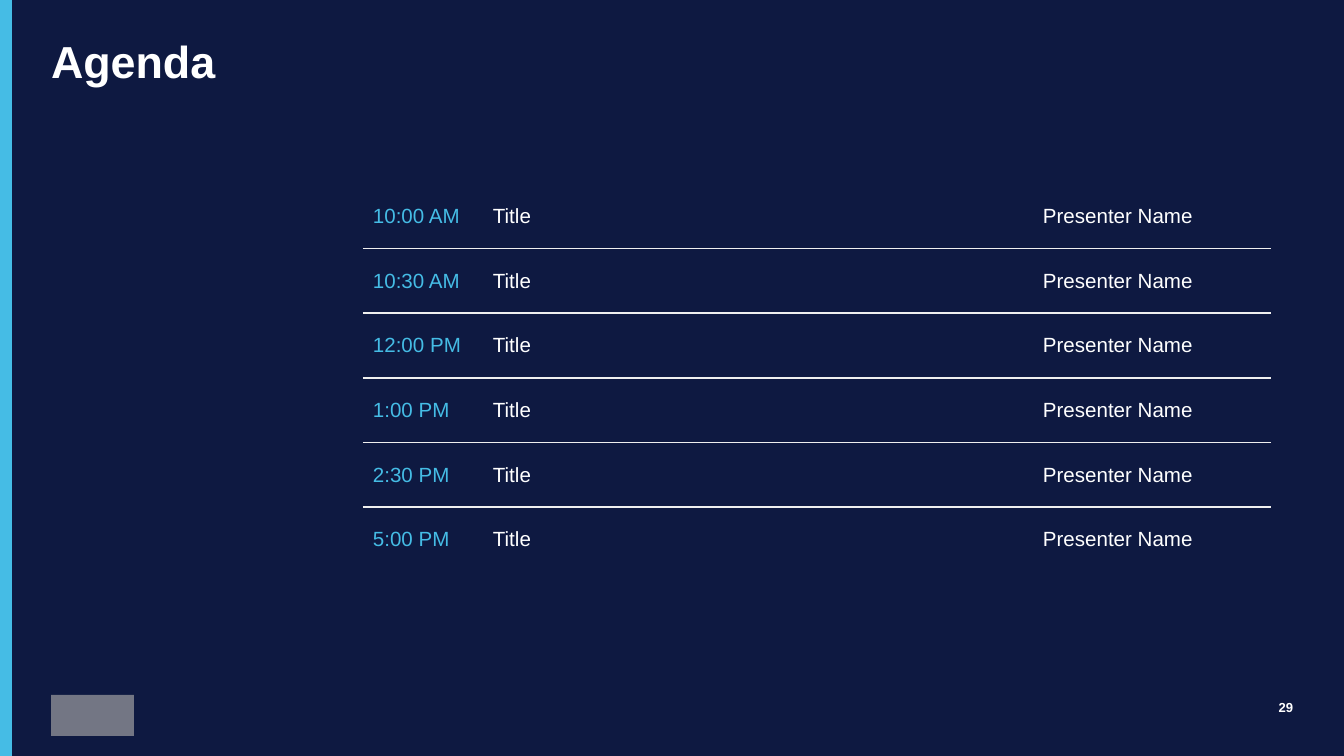
from lxml.etree import SubElement
from pptx import Presentation
from pptx.dml.color import RGBColor
from pptx.enum.shapes import MSO_SHAPE as Preset
from pptx.enum.text import MSO_ANCHOR as Anchor, PP_ALIGN as Align
from pptx.oxml.ns import qn
from pptx.util import Pt

PX = 914400 / 134.4
NAVY = RGBColor(0x0E, 0x19, 0x41)
SKY = RGBColor(0x45, 0xBC, 0xE5)
WHITE = RGBColor(0xFF, 0xFF, 0xFF)
GRAY = RGBColor(0xA5, 0xA5, 0xA5)
RULE = RGBColor(0xEF, 0xEF, 0xEF)
TIMES = ["10:00 AM", "10:30 AM", "12:00 PM", "1:00 PM", "2:30 PM", "5:00 PM"]


def emu(*lengths):
    return [round(length * PX) for length in lengths]


class AgendaSlide:
    """Holds the agenda style and draws its elements on one slide."""

    font = "Arial"
    padding = 10

    def __init__(self, deck):
        self.slide = deck.slides.add_slide(deck.slide_layouts[6])
        background = self.slide.background.fill
        background.solid()
        background.fore_color.rgb = NAVY

    def add_words(self, frame, words, size, color, bold=False):
        paragraph = frame.paragraphs[0]
        run = paragraph.add_run()
        run.text = words
        run.font.name = self.font
        run.font.size = Pt(size)
        run.font.bold = bold
        run.font.color.rgb = color
        return paragraph

    def block(self, x, y, width, height, color, opacity=100):
        shape = self.slide.shapes.add_shape(Preset.RECTANGLE, *emu(x, y, width, height))
        shape.shadow.inherit = False
        shape.fill.solid()
        shape.fill.fore_color.rgb = color
        shape.line.fill.background()
        if opacity < 100:
            tint = shape.element.spPr.find(qn("a:solidFill")).find(qn("a:srgbClr"))
            SubElement(tint, qn("a:alpha"), val=str(opacity * 1000))

    def text(self, x, y, width, height, words, size, align=Align.LEFT,
             anchor=Anchor.TOP, spacing=1.0):
        frame = self.slide.shapes.add_textbox(*emu(x, y, width, height)).text_frame
        frame.margin_left = frame.margin_top = frame.margin_right = frame.margin_bottom = 0
        frame.word_wrap = True
        frame.vertical_anchor = anchor
        paragraph = self.add_words(frame, words, size, WHITE, bold=True)
        paragraph.alignment = align
        paragraph.line_spacing = spacing

    def border(self, cell, side, visible):
        line = SubElement(cell._tc.get_or_add_tcPr(), qn("a:ln" + side), w=str(int(Pt(1))))
        if visible:
            fill = SubElement(line, qn("a:solidFill"))
            SubElement(fill, qn("a:srgbClr"), val=str(RULE))
        else:
            SubElement(line, qn("a:noFill"))

    def table(self, x, y, height, widths, rows, colors, size):
        grid = self.slide.shapes.add_table(
            len(rows), len(widths), *emu(x, y, sum(widths), height)).table
        grid.first_row = grid.horz_banding = False
        for column, width in zip(grid.columns, emu(*widths)):
            column.width = width
        inset, = emu(self.padding)
        for index, entries in enumerate(rows):
            ruled = {"T": index > 0, "B": index < len(rows) - 1}
            for cell, words, color in zip(grid.rows[index].cells, entries, colors):
                cell.margin_left = cell.margin_right = inset
                cell.margin_top = cell.margin_bottom = inset
                cell.vertical_anchor = Anchor.MIDDLE
                for side in "LRTB":
                    self.border(cell, side, ruled.get(side, False))
                cell.fill.background()
                self.add_words(cell.text_frame, words, size, color)


def main():
    deck = Presentation()
    deck.slide_width, deck.slide_height = emu(1344, 756)
    agenda = AgendaSlide(deck)
    agenda.block(0, 0, 12, 756, SKY)
    agenda.block(51, 695, 83, 41, GRAY, opacity=67)
    agenda.text(51, 40, 1243, 66, "Agenda", 24, spacing=0.9)
    agenda.text(1214, 695, 79, 24, "29", 7, Align.RIGHT, Anchor.MIDDLE)
    sessions = [(time, "Title", "Presenter Name") for time in TIMES]
    agenda.table(363, 184, 388, [120, 550, 238], sessions, [SKY, WHITE, WHITE], 11)
    deck.save("out.pptx")


if __name__ == "__main__":
    main()
